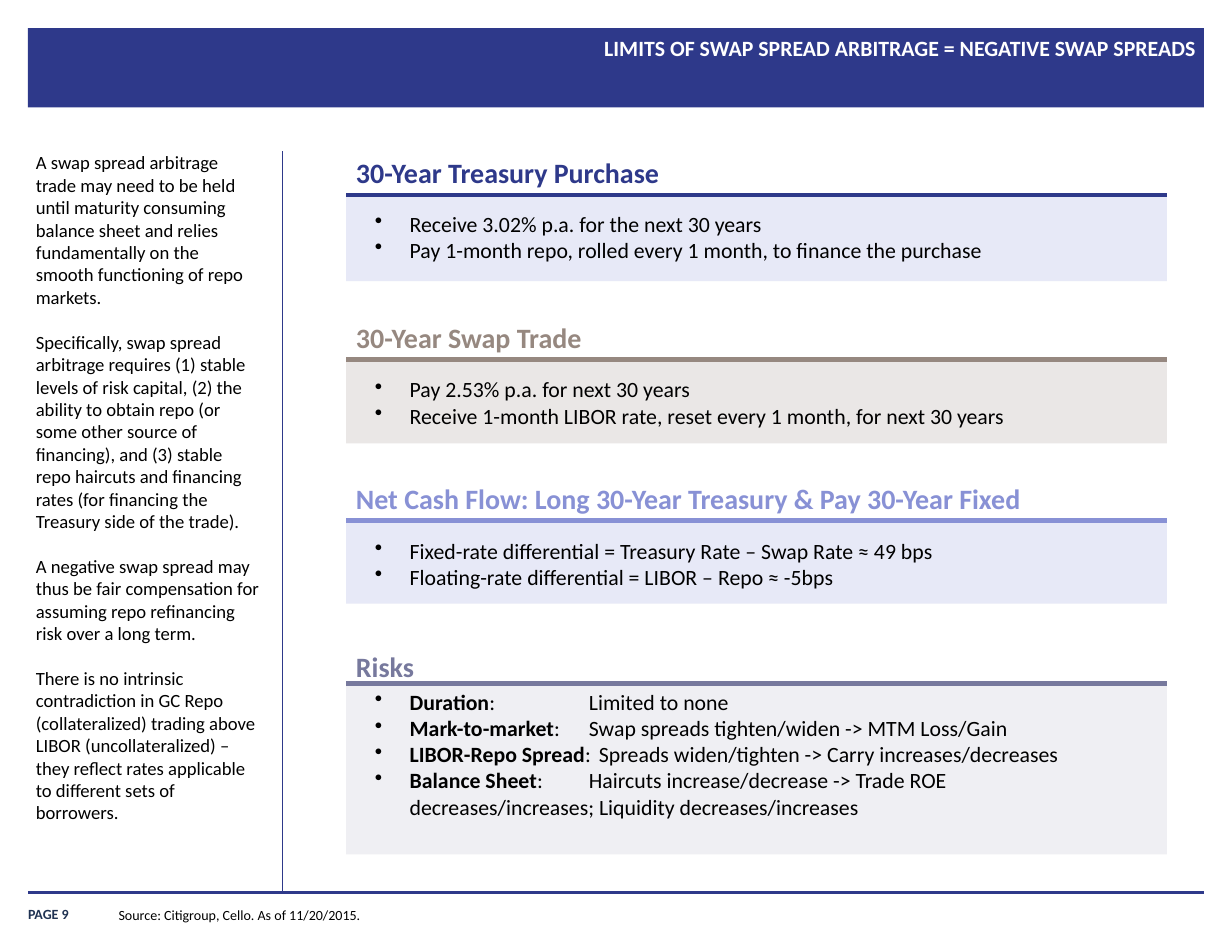
"""Builds the slide on the limits of swap spread arbitrage."""
from lxml import etree
from pptx import Presentation, util as u
from pptx.dml.color import RGBColor
from pptx.enum import shapes as sh, text as tx
from pptx.oxml.ns import qn

NAVY = RGBColor(0x2E, 0x39, 0x8A)
INK = RGBColor(0x20, 0x33, 0x53)
TAUPE = RGBColor(0x96, 0x88, 0x80)
PERI = RGBColor(0x88, 0x91, 0xD5)
SLATE = RGBColor(0x77, 0x79, 0x9D)
PALE = RGBColor(0xE7, 0xE9, 0xF7)
SAND = RGBColor(0xEA, 0xE7, 0xE6)
MIST = RGBColor(0xEF, 0xEF, 0xF3)
BLACK = RGBColor(0, 0, 0)
WHITE = RGBColor(255, 255, 255)

deck = Presentation()
deck.slide_width, deck.slide_height = u.Inches(11), u.Inches(8.5)
EDGE = 0.25
LEFT, WIDE = 3.09, 7.33
INDENT, STOP = 0.31, 1.91

page = deck.slides.add_slide(deck.slide_layouts[5])


def write(box, rows, size, color, bold=None, inset=None, wrap=True):
    frame = box.text_frame
    frame.word_wrap = wrap
    frame.auto_size = tx.MSO_AUTO_SIZE.NONE
    frame.vertical_anchor = tx.MSO_ANCHOR.TOP
    if inset is not None:
        frame.margin_left = frame.margin_right = u.Inches(inset)
        frame.margin_top = frame.margin_bottom = u.Inches(inset)
    for i, row in enumerate(rows):
        para = frame.paragraphs[0] if i == 0 else frame.add_paragraph()
        para.text = row
        font = para.font
        font.name, font.size, font.bold = "Calibri", u.Pt(size), bold
        font.color.rgb = color
    return frame


def rule(x1, y1, x2, y2, color, weight):
    line = page.shapes.add_connector(
        sh.MSO_CONNECTOR.STRAIGHT, *map(u.Inches, (x1, y1, x2, y2)))
    line.line.color.rgb, line.line.width = color, u.Pt(weight)
    etree.SubElement(line._element.spPr, qn("a:effectLst"))


panels = [
    ("30-Year Treasury Purchase", 1.74, 0.77, 0.09, NAVY, PALE,
     ["Receive 3.02% p.a. for the next 30 years",
      "Pay 1-month repo, rolled every 1 month, to finance the purchase"]),
    ("30-Year Swap Trade", 3.21, 0.75, 0.1, TAUPE, SAND,
     ["Pay 2.53% p.a. for next 30 years",
      "Receive 1-month LIBOR rate, reset every 1 month, for next 30 years"]),
    ("Net Cash Flow: Long 30-Year Treasury & Pay 30-Year Fixed",
     4.65, 0.74, 0.1, PERI, PALE,
     ["Fixed-rate differential = Treasury Rate – Swap Rate ≈ 49 bps",
      "Floating-rate differential = LIBOR – Repo ≈ -5bps"]),
    ("Risks", 6.1, 1.53, 0, SLATE, MIST,
     ["Duration:\tLimited to none",
      "Mark-to-market:\tSwap spreads tighten/widen -> MTM Loss/Gain",
      "LIBOR-Repo Spread:\tSpreads widen/tighten -> Carry increases/decreases",
      "Balance Sheet:\tHaircuts increase/decrease -> Trade ROE "
      "decreases/increases; Liquidity decreases/increases"]),
]

blocks = [(EDGE, EDGE, 10.5, 0.71, NAVY)]
blocks += [(LEFT, top, WIDE, high, fill)
           for _, top, high, _, _, fill, _ in panels]
for *spot, fill in blocks:
    block = page.shapes.add_shape(sh.MSO_SHAPE.RECTANGLE, *map(u.Inches, spot))
    block.shadow.inherit = False
    block.fill.solid()
    block.fill.fore_color.rgb = fill
    block.line.fill.background()

title = page.shapes.title
title.left, title.top = u.Inches(3.17), u.Inches(0.29)
title.width, title.height = u.Inches(7.51), u.Inches(0.67)
head = write(title, ["LIMITS OF SWAP SPREAD ARBITRAGE = NEGATIVE SWAP SPREADS"],
             14, WHITE, True, 0).paragraphs[0]
head.alignment, head.line_spacing = tx.PP_ALIGN.RIGHT, 1.1
page.shapes._spTree.append(title._element)

rule(EDGE, 7.97, 11 - EDGE, 7.97, NAVY, 2.25)
rule(2.52, 1.35, 2.52, 7.97, NAVY, 0.5)

side = page.shapes.add_textbox(*map(u.Inches, (0.32, 1.35, 2.01, 6.48)))
notes = write(side, [
    "A swap spread arbitrage trade may need to be held until maturity consuming "
    "balance sheet and relies fundamentally on the smooth functioning of repo "
    "markets.",
    "Specifically, swap spread arbitrage requires (1) stable levels of risk "
    "capital, (2) the ability to obtain repo (or some other source of "
    "financing), and (3) stable repo haircuts and financing rates (for "
    "financing the Treasury side of the trade).",
    "A negative swap spread may thus be fair compensation for assuming repo "
    "refinancing risk over a long term.",
    "There is no intrinsic contradiction in GC Repo (collateralized) trading "
    "above LIBOR (uncollateralized) – they reflect rates applicable to "
    "different sets of borrowers."], 12, BLACK, inset=0)
for para in notes.paragraphs[1:]:
    para.space_before = u.Pt(14.5)

for name, top, _, gap, color, _, rows in panels:
    label = page.shapes.add_textbox(
        *map(u.Inches, (LEFT - 0.01, top - 0.4 + (0.05 if gap == 0 else 0),
                        6.17, 0.4)))
    write(label, [name], 18, color, True)
    rule(LEFT, top, LEFT + WIDE, top, color, 3)
    box = page.shapes.add_textbox(
        *map(u.Inches, (3.25, top + gap, 6.67, 0.1 + 0.235 * len(rows))))
    frame = write(box, [""] * len(rows), 14, BLACK)
    for para, row in zip(frame.paragraphs, rows):
        props = para._p.get_or_add_pPr()
        props.set("marL", str(u.Inches(INDENT)))
        props.set("indent", str(-u.Inches(INDENT)))
        dot = etree.Element(qn("a:buChar"), char="•")
        props.insert(0, dot)
        term, tab, rest = row.partition(":\t")
        if tab:
            tabs = etree.Element(qn("a:tabLst"))
            etree.SubElement(tabs, qn("a:tab"), pos=str(u.Inches(STOP)), algn="l")
            dot.addnext(tabs)
            run = para.add_run()
            run.text, run.font.bold = term, True
        para.add_run().text = tab + rest if tab else row

foot = page.shapes.add_textbox(*map(u.Inches, (EDGE, 8.01, 0.91, 0.23)))
write(foot, ["PAGE 9"], 9, INK, True, 0).vertical_anchor = tx.MSO_ANCHOR.BOTTOM
source = page.shapes.add_textbox(*map(u.Inches, (0.96, 8.04, 2.38, 0.25)))
write(source, ["Source: Citigroup, Cello. As of 11/20/2015."], 9, BLACK, wrap=False)

deck.save("out.pptx")
